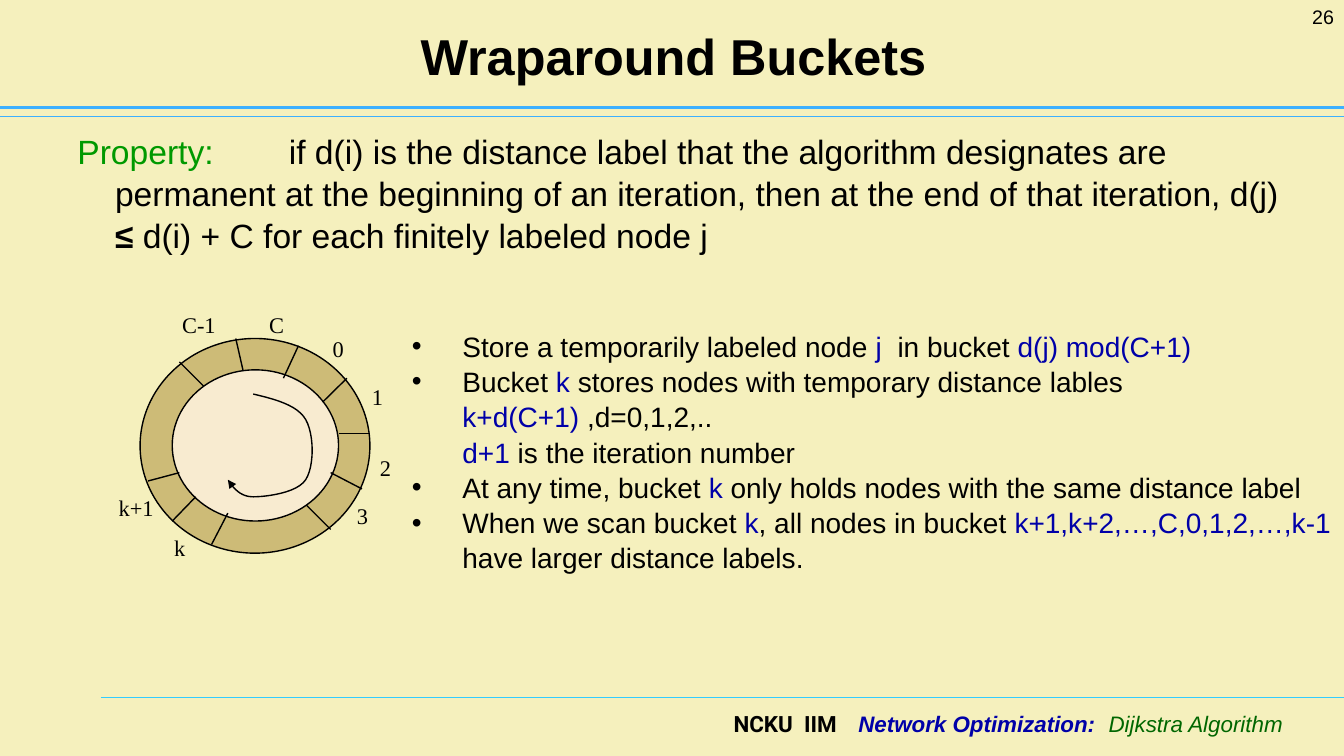
from lxml import etree
from pptx import Presentation
from pptx.dml.color import RGBColor
from pptx.enum.shapes import MSO_CONNECTOR, MSO_SHAPE
from pptx.enum.text import MSO_ANCHOR, PP_ALIGN
from pptx.oxml.ns import qn
from pptx.util import Cm, Pt

STRAIGHT = MSO_CONNECTOR.STRAIGHT
OVAL = MSO_SHAPE.OVAL
LEFT, CENTER, RIGHT = PP_ALIGN.LEFT, PP_ALIGN.CENTER, PP_ALIGN.RIGHT
TOP, MIDDLE = MSO_ANCHOR.TOP, MSO_ANCHOR.MIDDLE

COLORS = {
    "background": "F5F0BD", "black": "000000", "blue": "0000A8",
    "green": "009900", "dark_green": "006600", "rule": "3DB0FF",
    "footer_rule": "33CCFF", "ring": "CDBB77", "hub": "F8EBD0",
}

presentation = Presentation()
presentation.slide_width, presentation.slide_height = Cm(33.86), Cm(19.05)
slide = presentation.slides.add_slide(presentation.slide_layouts[6])
slide.background.fill.solid()
slide.background.fill.fore_color.rgb = RGBColor.from_string(COLORS["background"])


def add_text(box, paragraphs, size=16, font="Arial", color="black", align=LEFT,
             anchor=TOP, wrap=True, indent=0, bullet=None, before=0, spacing=None):
    """Each paragraph is a list of (text, format) runs; "\n" is a line break."""
    frame = slide.shapes.add_textbox(*map(Cm, box)).text_frame
    frame.word_wrap, frame.vertical_anchor = wrap, anchor
    for index, runs in enumerate(paragraphs):
        paragraph = frame.add_paragraph() if index else frame.paragraphs[0]
        paragraph.alignment, paragraph.space_before = align, Pt(before)
        paragraph.line_spacing = spacing
        properties = paragraph._p.get_or_add_pPr()
        if indent:
            properties.set("marL", str(Cm(indent)))
            properties.set("indent", str(-Cm(indent)))
        if bullet:
            etree.SubElement(properties, qn("a:buFont")).set("typeface", "Arial")
            etree.SubElement(properties, qn("a:buChar")).set("char", bullet)
        for text, style in runs:
            if text == "\n":
                paragraph.add_line_break()
                continue
            run = paragraph.add_run()
            run.text = text
            run.font.size, run.font.name = Pt(size), style.get("font", font)
            run.font.bold, run.font.italic = style.get("bold"), style.get("italic")
            run.font.color.rgb = RGBColor.from_string(COLORS[style.get("color", color)])
            if "tracking" in style:
                run._r.get_or_add_rPr().set("spc", str(style["tracking"] * 100))


def add_line(start, end, color="black", width=1):
    line = slide.shapes.add_connector(STRAIGHT, *map(Cm, start + end))
    line.line.color.rgb = RGBColor.from_string(COLORS[color])
    line.line.width = Pt(width)
    etree.SubElement(line._element.spPr, qn("a:effectLst"))


# Rules across the slide
add_line((2.54, 17.57), (33.86, 17.57), "footer_rule", 0.75)
add_line((0, 2.94), (33.86, 2.94), "rule", 0.75)
add_line((0, 2.71), (33.86, 2.71), "rule", 2.5)

# Footer, title, slide number
bold, blue = {"bold": True}, {"color": "blue"}
roboto = {"font": "Roboto", "bold": True}
add_text((6.2, 17.78, 26.37, 1.27), [[
    ("NCKU", roboto), (" ", {**roboto, "tracking": 4}), ("IIM", roboto),
    (" ", {"tracking": 11}),
    ("Network Optimization:", {"color": "blue", "bold": True, "italic": True}),
    (" ", {"tracking": 5}),
    ("Dijkstra Algorithm", {"color": "dark_green", "italic": True}),
]], align=RIGHT)
add_text((1.73, 0.3, 30.48, 2.21), [[("Wraparound Buckets", bold)]],
         size=36, align=CENTER, anchor=MIDDLE)
add_text((31.04, 0, 2.82, 1.27), [[("26", {})]], size=14, align=RIGHT)

# Property statement
add_text((1.7, 3.12, 31.24, 14), [[
    ("Property:", {"color": "green"}), (" ", {"tracking": 47}),
    ("if d(i) is the distance label that the algorithm designates are permanent at "
     "the beginning of an iteration, then at the end of that iteration, d(j) ", {}),
    ("≤ ", bold), ("d(i) + C for each finitely labeled node j", {}),
]], size=24, indent=0.95, before=4.8, spacing=1.05)

# Bucket ring
for box, color in [((3.53, 8.53, 5.79, 5.41), "ring"), ((4.34, 9.32, 4.19, 3.81), "hub")]:
    ellipse = slide.shapes.add_shape(OVAL, *map(Cm, box))
    ellipse.shadow.inherit = False
    ellipse.fill.solid()
    ellipse.fill.fore_color.rgb = RGBColor.from_string(COLORS[color])
    ellipse.line.color.rgb = RGBColor.from_string(COLORS["black"])
    ellipse.line.width = Pt(1)

bucket_dividers = [
    ((4.52, 9.12), (5.13, 9.73)), ((5.94, 8.53), (6.12, 9.32)),
    ((7.52, 8.71), (7.14, 9.53)), ((8.74, 9.53), (8.13, 10.13)),
    ((8.53, 10.92), (9.32, 10.92)), ((8.33, 11.91), (9.12, 12.32)),
    ((7.72, 12.73), (8.33, 13.34)), ((4.52, 11.91), (3.73, 12.12)),
    ((5.74, 12.93), (5.33, 13.72)), ((4.93, 12.52), (4.34, 13.13)),
]
for start, end in bucket_dividers:
    add_line(start, end)

bucket_labels = [
    ("0", 8.13, 8.33, 0.79), ("1", 9.12, 9.53, 0.79), ("2", 9.32, 11.33, 0.79),
    ("3", 8.74, 12.52, 0.79), ("k", 4.14, 13.34, 0.79), ("k+1", 2.74, 12.32, 1.4),
    ("C", 6.53, 7.72, 0.89), ("C-1", 4.34, 7.72, 1.6),
]
for label, left, top, width in bucket_labels:
    add_text((left, top, width, 0.94), [[(label, {})]], font="Times New Roman", wrap=False)

# Clockwise scan arrow, traced along cubic curves
scan_start = (6.38, 9.93)
scan_curves = [
    ((6.93, 10.06), (7.49, 10.21), (7.7, 10.57)),
    ((7.92, 10.95), (7.92, 11.76), (7.7, 12.09)),
    ((7.49, 12.42), (6.71, 12.52), (6.38, 12.52)),
    ((6.07, 12.52), (5.89, 12.32), (5.74, 12.09)),
]
steps = 12
points, anchor_point = [], scan_start
for control_a, control_b, end in scan_curves:
    for step in range(1, steps + 1):
        t = step / steps
        points.append(tuple(
            Cm((1 - t) ** 3 * p + 3 * (1 - t) ** 2 * t * a + 3 * (1 - t) * t ** 2 * b + t ** 3 * q)
            for p, a, b, q in zip(anchor_point, control_a, control_b, end)))
    anchor_point = end
builder = slide.shapes.build_freeform(*map(Cm, scan_start))
builder.add_line_segments(points, close=False)
scan_arrow = builder.convert_to_shape()
scan_arrow.shadow.inherit = False
scan_arrow.fill.background()
scan_arrow.line.color.rgb = RGBColor.from_string(COLORS["black"])
scan_arrow.line.width = Pt(1)
etree.SubElement(scan_arrow.line._get_or_add_ln(), qn("a:tailEnd")).set("type", "triangle")

# Bucket rules
add_text((10.13, 8.13, 23.83, 6.25), [
    [("Store a temporarily labeled node ", {}), ("j ", blue), (" in bucket ", {}),
     ("d(j) mod(C+1)", blue)],
    [("Bucket ", {}), ("k ", blue), ("stores nodes with temporary distance lables", {}),
     ("\n", {}), ("k+d(C+1)", blue), (" ,d=0,1,2,..", {}),
     ("\n", {}), ("d+1", blue), (" is the iteration number", {})],
    [("At any time, bucket ", {}), ("k", blue),
     (" only holds nodes with the same distance label", {})],
    [("When we scan bucket ", {}), ("k", blue), (", all nodes in bucket ", {}),
     ("k+1,k+2,…,C,0,1,2,…,k-1", blue), (" have larger distance labels.", {})],
], size=20, indent=1.27, bullet="•", spacing=1.05)

presentation.save("out.pptx")
